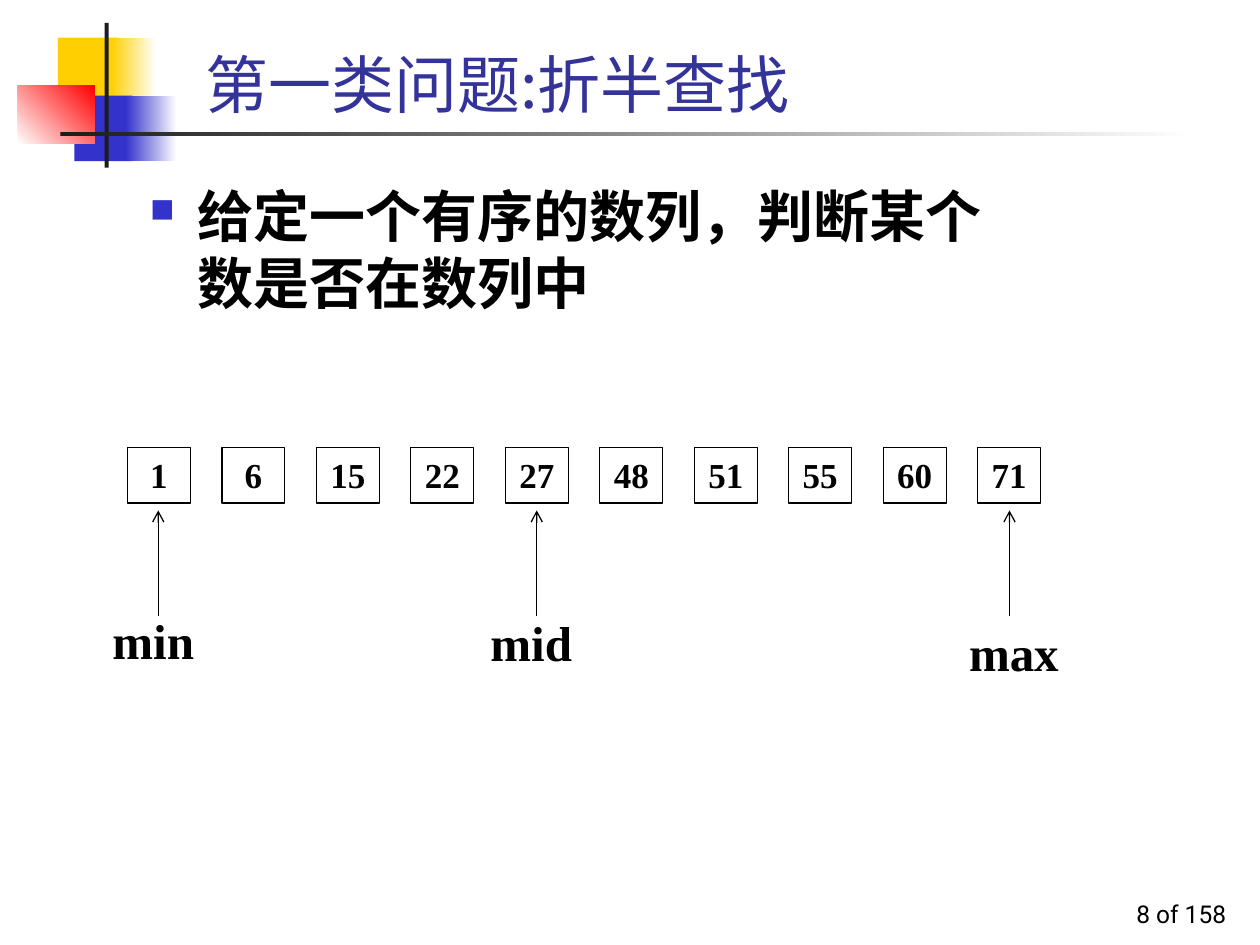
import pptx
import pptx.dml.color
import pptx.enum.shapes
import pptx.enum.text
import pptx.oxml
import pptx.oxml.ns
import pptx.util
from lxml import etree

Cm, Pt = pptx.util.Cm, pptx.util.Pt
ALIGN = pptx.enum.text.PP_ALIGN
ANCHOR = pptx.enum.text.MSO_ANCHOR
SHAPE = pptx.enum.shapes.MSO_SHAPE
SERIF = "Times New Roman"
BLACK, DARK, YELLOW, BLUE, WHITE = "000000", "1C1C1C", "FFCF01", "3333CC", "FFFFFF"

# Content, lengths in centimetres
TITLE = "第一类问题:折半查找"
STATEMENT = "给定一个有序的数列，判断某个数是否在数列中"
PAGE = "8 of 158"
NUMBERS = [1, 6, 15, 22, 27, 48, 51, 55, 60, 71]
# label, left, top, arrow x
MARKERS = [("min", 1.5, 12.19, 3.19), ("mid", 9.12, 12.22, 10.82),
           ("max", 18.85, 12.42, 20.35)]
# left, top, width, height, colours, gradient angle
DECORATION = [
    (1.17, 0.76, 1.22, 1.32, [YELLOW], 0),
    (2.24, 0.76, 0.91, 1.32, [YELLOW, WHITE], 0),
    (1.5, 1.93, 1.17, 1.32, [BLUE], 0),
    (2.54, 1.93, 1.02, 1.32, [BLUE, WHITE], 0),
    (0.36, 1.73, 1.55, 1.17, [WHITE, "FF0000"], 45),
    (2.11, 0.46, 0.08, 2.92, [DARK], 0),
    (1.22, 2.67, 22.86, 0.08, [DARK, WHITE], 0),
]
FIRST_LEFT, LAST_LEFT = 2.57, 19.71
CELL_TOP, CELL_WIDTH, CELL_HEIGHT = 9.02, 1.27, 1.12
ARROW_TOP, ARROW_BOTTOM = 10.29, 12.42


def color(value):
    return pptx.dml.color.RGBColor.from_string(value)


def write(shape, text, size, font, ink=BLACK, bold=False,
          align=ALIGN.CENTER, anchor=ANCHOR.TOP):
    frame = shape.text_frame
    frame.word_wrap = True
    frame.vertical_anchor = anchor
    paragraph = frame.paragraphs[0]
    paragraph.alignment = align
    run = paragraph.add_run()
    run.text = text
    run.font.size, run.font.name, run.font.bold = Pt(size), font, bold
    run.font.color.rgb = color(ink)
    east_asian = pptx.oxml.parse_xml(
        f'<a:ea {pptx.oxml.ns.nsdecls("a")} typeface="{font}"/>')
    run.font._element.find(pptx.oxml.ns.qn("a:latin")).addnext(east_asian)
    return paragraph


def add_text(slide, left, top, width, height, *args, **options):
    box = slide.shapes.add_textbox(Cm(left), Cm(top), Cm(width), Cm(height))
    return write(box, *args, **options)


def add_rectangle(slide, left, top, width, height):
    shape = slide.shapes.add_shape(
        SHAPE.RECTANGLE, Cm(left), Cm(top), Cm(width), Cm(height))
    shape.shadow.inherit = False
    return shape


def add_decoration(slide, left, top, width, height, colors, angle):
    shape = add_rectangle(slide, left, top, width, height)
    shape.line.fill.background()
    if len(colors) == 1:
        shape.fill.solid()
        shape.fill.fore_color.rgb = color(colors[0])
        return
    shape.fill.gradient()
    shape.fill.gradient_angle = angle
    for stop, value in zip(shape.fill.gradient_stops, colors):
        stop.color.rgb = color(value)


def add_cell(slide, left, number):
    cell = add_rectangle(slide, left, CELL_TOP, CELL_WIDTH, CELL_HEIGHT)
    cell.fill.background()
    cell.line.color.rgb = color(BLACK)
    cell.line.width = Pt(0.75)
    write(cell, str(number), 20, SERIF, bold=True)


def add_arrow(slide, x):
    arrow = slide.shapes.add_connector(
        pptx.enum.shapes.MSO_CONNECTOR.STRAIGHT,
        Cm(x), Cm(ARROW_BOTTOM), Cm(x), Cm(ARROW_TOP))
    arrow.line.color.rgb = color(BLACK)
    arrow.line.width = Pt(0.75)
    qn = pptx.oxml.ns.qn
    etree.SubElement(arrow.line._get_or_add_ln(), qn("a:tailEnd"), type="arrow")
    etree.SubElement(arrow._element.spPr, qn("a:effectLst"))


def add_bullet(paragraph):
    qn = pptx.oxml.ns.qn
    properties = paragraph._p.get_or_add_pPr()
    properties.set("marL", str(Cm(0.96)))
    properties.set("indent", str(-Cm(0.96)))
    bullet_color = etree.SubElement(properties, qn("a:buClr"))
    etree.SubElement(bullet_color, qn("a:srgbClr"), val=BLUE)
    etree.SubElement(properties, qn("a:buSzPct"), val="60000")
    etree.SubElement(properties, qn("a:buChar"), char="■")


def main():
    presentation = pptx.Presentation()
    presentation.slide_width, presentation.slide_height = Cm(25.4), Cm(19.05)
    slide = presentation.slides.add_slide(presentation.slide_layouts[6])

    # Corner blocks and title rule
    for item in DECORATION:
        add_decoration(slide, *item)

    # Page number, title and statement
    add_text(slide, 19.69, 17.58, 5.28, 1.27, PAGE, 14, "Roboto",
             align=ALIGN.RIGHT, anchor=ANCHOR.BOTTOM)
    add_text(slide, 3.89, 0.71, 19.71, 1.85, TITLE, 36, "Noto Sans CJK SC",
             ink="333399", align=ALIGN.LEFT, anchor=ANCHOR.BOTTOM)
    add_bullet(add_text(slide, 2.77, 3.53, 17.35, 3.61, STATEMENT, 32, "Roboto",
                        bold=True, align=ALIGN.LEFT))

    # Sorted sequence
    pitch = (LAST_LEFT - FIRST_LEFT) / (len(NUMBERS) - 1)
    for index, number in enumerate(NUMBERS):
        add_cell(slide, FIRST_LEFT + index * pitch, number)

    # Search markers
    for label, left, top, arrow_x in MARKERS:
        add_text(slide, left, top, 3.18, 1.45, label, 28, SERIF, bold=True)
        add_arrow(slide, arrow_x)

    presentation.save("out.pptx")


if __name__ == "__main__":
    main()
